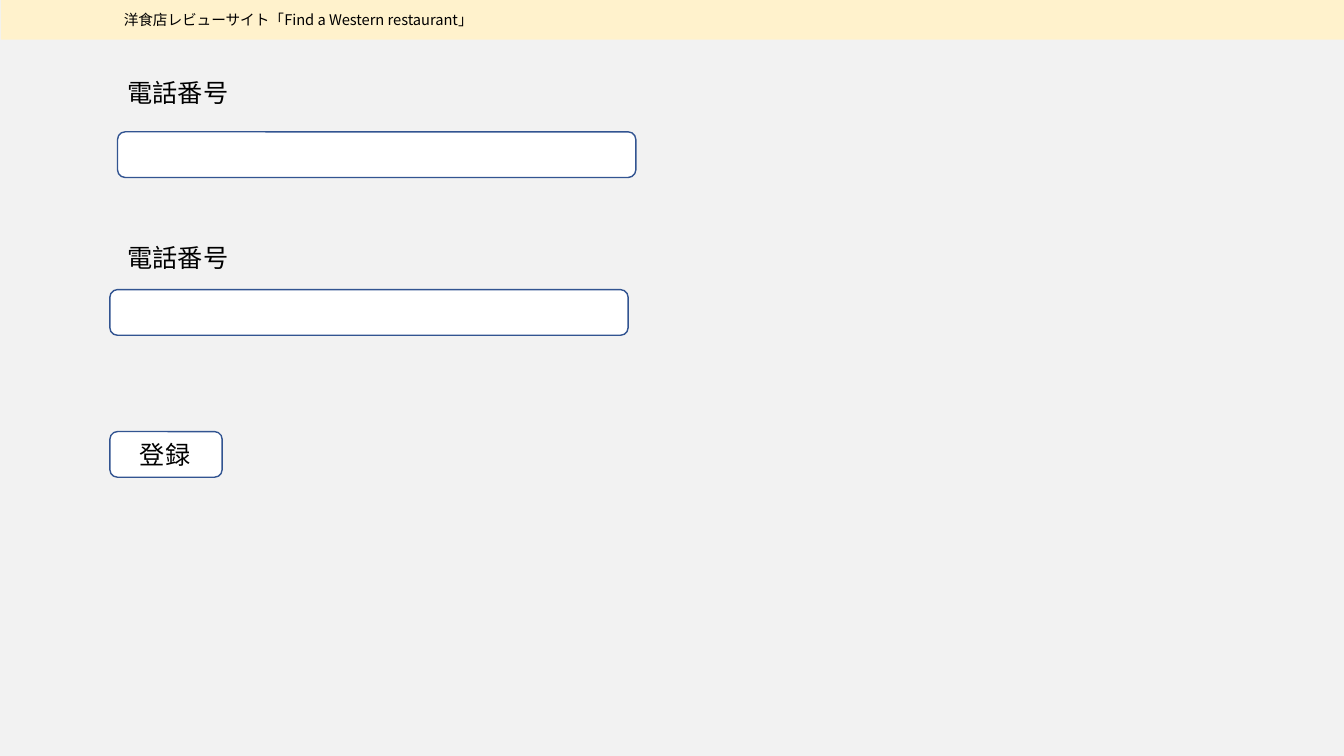
from dataclasses import dataclass

import pptx
import pptx.dml.color
import pptx.enum.shapes
import pptx.enum.text
import pptx.oxml
import pptx.oxml.ns
import pptx.shapes.autoshape
import pptx.slide
import pptx.util

Pt = pptx.util.Pt
RGBColor = pptx.dml.color.RGBColor
MSO_SHAPE = pptx.enum.shapes.MSO_SHAPE

FONT = "Noto Sans CJK JP"
PAGE = RGBColor(0xF2, 0xF2, 0xF2)
CREAM = RGBColor(0xFF, 0xF2, 0xCC)
WHITE = RGBColor(0xFF, 0xFF, 0xFF)
BLUE = RGBColor(0x32, 0x54, 0x91)
BLACK = RGBColor(0, 0, 0)

BOX_HEIGHT = 32.6
LABEL_HEIGHT = 29.08


@dataclass(frozen=True)
class Box:
    left: float
    top: float
    width: float


@dataclass(frozen=True)
class Label:
    text: str
    left: float
    top: float
    width: float


BOXES = [
    Box(84, 94.2, 370.2),
    Box(78.5, 206.9, 370.2),
    Box(78.5, 308.3, 80.2),
]
LABELS = [
    Label("電話番号", 84, 51.7, 86.8),
    Label("電話番号", 84, 169.4, 86.8),
    Label("登録", 92.9, 310.1, 50.8),
]


def place(sp: pptx.shapes.autoshape.Shape, left: float, top: float,
          width: float, height: float) -> None:
    frame = dict(left=left, top=top, width=width, height=height)
    for name, value in frame.items():
        setattr(sp, name, Pt(value))


def write(sp: pptx.shapes.autoshape.Shape, text: str, size: float) -> None:
    tf = sp.text_frame
    frame_format = dict(
        word_wrap=False,
        auto_size=pptx.enum.text.MSO_AUTO_SIZE.SHAPE_TO_FIT_TEXT,
        vertical_anchor=pptx.enum.text.MSO_ANCHOR.TOP,
    )
    for name, value in frame_format.items():
        setattr(tf, name, value)
    p = tf.paragraphs[0]
    p.alignment = pptx.enum.text.PP_ALIGN.LEFT
    r = p.add_run()
    r.text = text
    for name, value in dict(name=FONT, size=Pt(size)).items():
        setattr(r.font, name, value)
    r.font.color.rgb = BLACK
    ea = pptx.oxml.parse_xml(
        f'<a:ea {pptx.oxml.ns.nsdecls("a")} typeface="{FONT}"/>')
    r.font._element.find(pptx.oxml.ns.qn("a:latin")).addnext(ea)


def add_header(s: pptx.slide.Slide) -> None:
    """Draw the site band and bring the title in front of it."""
    band = s.shapes.add_shape(MSO_SHAPE.RECTANGLE, Pt(0.7), Pt(0), Pt(959.3), Pt(28.3))
    band.shadow.inherit = False
    band.fill.solid()
    band.fill.fore_color.rgb = CREAM
    band.line.fill.background()

    title = s.shapes.title
    place(title, 81.2, 4.1, 270.5, 20)
    write(title, "洋食店レビューサイト「Find a Western restaurant」", 10.5)
    band.element.addnext(title.element)


def add_box(s: pptx.slide.Slide, box: Box) -> None:
    sp = s.shapes.add_shape(MSO_SHAPE.ROUNDED_RECTANGLE, Pt(box.left), Pt(box.top),
                            Pt(box.width), Pt(BOX_HEIGHT))
    sp.shadow.inherit = False
    sp.fill.solid()
    sp.fill.fore_color.rgb = WHITE
    sp.line.color.rgb = BLUE
    sp.line.width = Pt(1)


def add_label(s: pptx.slide.Slide, label: Label) -> None:
    sp = s.shapes.add_textbox(Pt(label.left), Pt(label.top),
                              Pt(label.width), Pt(LABEL_HEIGHT))
    write(sp, label.text, 18)


def main() -> None:
    prs = pptx.Presentation()
    for name, value in dict(slide_width=Pt(960), slide_height=Pt(540)).items():
        setattr(prs, name, value)
    s = prs.slides.add_slide(prs.slide_layouts[5])
    s.background.fill.solid()
    s.background.fill.fore_color.rgb = PAGE

    add_header(s)
    for box in BOXES:
        add_box(s, box)
    for label in LABELS:
        add_label(s, label)
    prs.save("out.pptx")


if __name__ == "__main__":
    main()
